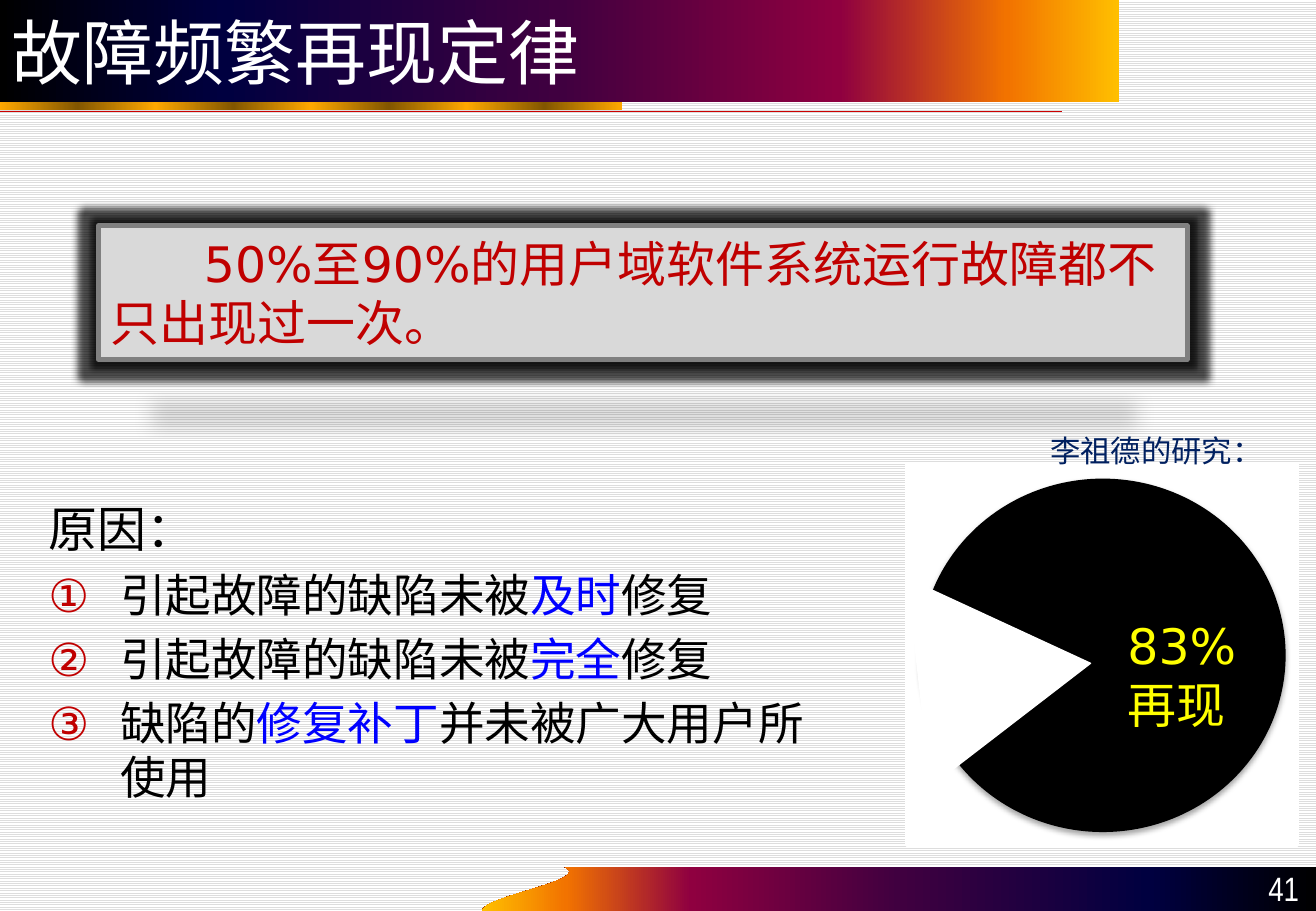
from dataclasses import dataclass

from lxml import etree
from pptx import Presentation
from pptx.dml.color import RGBColor
from pptx.enum.dml import MSO_PATTERN
from pptx.enum.shapes import MSO_CONNECTOR, MSO_SHAPE
from pptx.enum.text import MSO_ANCHOR, PP_ALIGN
from pptx.oxml.ns import qn
from pptx.util import Inches, Pt

RECTANGLE, OVAL, TRIANGLE = MSO_SHAPE.RECTANGLE, MSO_SHAPE.OVAL, MSO_SHAPE.ISOSCELES_TRIANGLE
TOP, MIDDLE, BOTTOM = MSO_ANCHOR.TOP, MSO_ANCHOR.MIDDLE, MSO_ANCHOR.BOTTOM
LEFT, RIGHT = PP_ALIGN.LEFT, PP_ALIGN.RIGHT

CELL = Inches(0.1)  # one column or row of the grid
COLUMNS, ROWS = 108.3, 75
SANS, CJK, NARROW = "DejaVu Sans", "Noto Sans CJK SC", "Arial Narrow"
COLORS = {
    "black": "000000", "white": "FFFFFF", "stripe": "DDDDDD", "panel": "D9D9D9",
    "frame": "808080", "rule": "CC0000", "red": "C00000", "blue": "0000FF",
    "yellow": "FFFF00", "navy": "002060",
}
SUNSET = [(0, "000000"), (20, "000040"), (50, "400040"),
          (75, "8F0040"), (90, "F27300"), (100, "FFBF00")]
GOLD = [(12.5 * step, "825600" if step % 2 else "FFA800") for step in range(9)]


@dataclass
class Run:
    text: str
    color: str
    size: float
    font: str = SANS


@dataclass
class Line:
    runs: list[Run]
    margin: float = 0
    indent: float = 0
    numbered: bool = False
    space_before: float = 0


@dataclass
class Block:
    """A shape, or a text box when kind is None, placed in grid columns and rows."""
    left: float
    top: float
    width: float
    height: float
    kind: int | None = None
    fill: str = ""
    outline: str = ""
    outline_width: float = 0
    rotation: float = 0
    effects: str = ""
    gradient: list | None = None
    lines: tuple[Line, ...] = ()
    align: int = LEFT
    anchor: int = TOP
    wrap: bool = True


def grid(value: float) -> int:
    return round(value * CELL)


def rgb(name: str) -> RGBColor:
    return RGBColor.from_string(COLORS[name])


def add_child(parent, tag: str, **attributes):
    return etree.SubElement(parent, qn(tag), attributes)


def paint_gradient(shape, stops: list, angle: float = 0) -> None:
    shape.fill.gradient()
    shape.fill.gradient_angle = angle
    stop_list = shape._element.spPr.find(".//" + qn("a:gsLst"))
    for old_stop in list(stop_list):
        stop_list.remove(old_stop)
    for position, color in stops:
        stop = add_child(stop_list, "a:gs", pos=str(round(position * 1000)))
        add_child(stop, "a:srgbClr", val=color)


def add_effects(shape, kind: str) -> None:
    def black(parent, alpha: int) -> None:
        color = add_child(parent, "a:srgbClr", val=COLORS["black"])
        add_child(color, "a:alpha", val=str(alpha * 1000))

    effects = shape._element.spPr.find(qn("a:effectLst"))
    if kind == "floating":
        black(add_child(effects, "a:glow", rad=str(Pt(8))), 70)
        blur, distance, alpha = 12, 25, 15
        scale = {"sx": "90000", "sy": "-19000"}
    else:
        blur, distance, alpha, scale = 3.1, 1.8, 35, {}
    shadow = add_child(effects, "a:outerShdw", blurRad=str(Pt(blur)), dist=str(Pt(distance)),
                       dir="5400000", **scale, rotWithShape="0")
    black(shadow, alpha)


def write_line(paragraph, line: Line, align: int) -> None:
    properties = paragraph._p.get_or_add_pPr()
    properties.set("marL", str(grid(line.margin)))
    properties.set("indent", str(grid(line.indent)))
    paragraph.alignment = align
    paragraph.space_before = Pt(line.space_before)
    if line.numbered:
        color = add_child(properties, "a:buClr")
        add_child(color, "a:srgbClr", val=COLORS["red"])
        add_child(properties, "a:buFont", typeface=SANS)
        add_child(properties, "a:buAutoNum", type="circleNumDbPlain")
    for item in line.runs:
        run = paragraph.add_run()
        run.text = item.text
        run.font.size = Pt(item.size)
        run.font.name = item.font
        run.font.color.rgb = rgb(item.color)
        add_child(run._r.get_or_add_rPr(), "a:ea", typeface=SANS)


def draw_block(slide, block: Block) -> None:
    place = [grid(value) for value in (block.left, block.top, block.width, block.height)]
    if block.kind is None:
        shape = slide.shapes.add_textbox(*place)
    else:
        shape = slide.shapes.add_shape(block.kind, *place)
        shape.shadow.inherit = False
        shape.rotation = block.rotation
        if block.gradient:
            paint_gradient(shape, block.gradient)
        else:
            shape.fill.solid()
            shape.fill.fore_color.rgb = rgb(block.fill)
        if block.outline:
            shape.line.color.rgb = rgb(block.outline)
            shape.line.width = Pt(block.outline_width)
        else:
            shape.line.fill.background()
        if block.effects:
            add_effects(shape, block.effects)
    frame = shape.text_frame
    frame.word_wrap = block.wrap
    frame.vertical_anchor = block.anchor
    for index, line in enumerate(block.lines):
        paragraph = frame.add_paragraph() if index else frame.paragraphs[0]
        write_line(paragraph, line, block.align)


def draw_footer(slide) -> None:
    """Draw the bottom band, whose left end is a Bezier curve."""
    controls = [(39.7, 75), (39.7, 73.8), (48.7, 72.5), (46.5, 71.4)]
    steps = 24
    curve = []
    for step in range(steps + 1):
        t = step / steps
        weights = ((1 - t) ** 3, 3 * t * (1 - t) ** 2, 3 * t * t * (1 - t), t ** 3)
        curve.append(tuple(grid(sum(w * point[axis] for w, point in zip(weights, controls)))
                           for axis in (0, 1)))
    builder = slide.shapes.build_freeform(*curve[0])
    corners = [(grid(COLUMNS), grid(71.4)), (grid(COLUMNS), grid(ROWS))]
    builder.add_line_segments(curve[1:] + corners, close=True)
    band = builder.convert_to_shape()
    band.shadow.inherit = False
    band.line.fill.background()
    paint_gradient(band, SUNSET, 180)


def draw_rule(slide) -> None:
    rule = slide.shapes.add_connector(MSO_CONNECTOR.STRAIGHT, 0, grid(9.15), grid(87.4), grid(9.15))
    rule.line.color.rgb = rgb("rule")
    rule.line.width = Pt(0.75)
    add_child(rule._element.spPr, "a:effectLst")


def reason(before: str, stressed: str, after: str) -> Line:
    runs = [Run(before, "black", 27, CJK), Run(stressed, "blue", 27, CJK), Run(after, "black", 27, CJK)]
    return Line(runs, 5.9, -5.9, True, 5.4)


BLOCKS = [
    Block(0, 8.3, 51.2, 0.75, RECTANGLE, gradient=GOLD),
    Block(0, 0, 92.1, 8.4, RECTANGLE, gradient=SUNSET, anchor=MIDDLE,
          lines=(Line([Run("故障频繁再现定律", "white", 42)]),)),
    Block(3, 40.6, 66.5, 27.6, lines=(
        Line([Run("原因：", "black", 29, CJK)], 5.4, -5.4),
        reason("引起故障的缺陷未被", "及时", "修复"),
        reason("引起故障的缺陷未被", "完全", "修复"),
        reason("缺陷的", "修复补丁", "并未被广大用户所使用"))),
    Block(98.3, 71.3, 9.6, 4, align=RIGHT, anchor=BOTTOM,
          lines=(Line([Run("41", "white", 20, NARROW)]),)),
    Block(8.1, 18.6, 89.6, 11, RECTANGLE, "panel", "frame", 3, effects="floating", anchor=MIDDLE,
          lines=(Line([Run("50%至90%的用户域软件系统运行故障都不只出现过一次。", "red", 29)],
                      indent=7.7),)),
    Block(74.6, 38.3, 32.2, 31.3, RECTANGLE, "white", "white", 2),
    Block(75.7, 39.4, 30.1, 29.1, OVAL, "black", effects="soft"),
    Block(74.1, 48.3, 17.2, 14.2, TRIANGLE, "white", "white", 0.75, rotation=83.6),
    Block(91.8, 50.2, 11.6, 10.8, wrap=False, lines=(
        Line([Run("83%", "yellow", 29)]), Line([Run("再现", "yellow", 29, CJK)]))),
    Block(85.1, 35.1, 19.8, 4.1, align=RIGHT, wrap=False,
          lines=(Line([Run("李祖德的研究：", "navy", 18)]),)),
]


def main() -> None:
    presentation = Presentation()
    presentation.slide_width, presentation.slide_height = grid(COLUMNS), grid(ROWS)
    slide = presentation.slides.add_slide(presentation.slide_layouts[6])
    background = slide.background.fill
    background.patterned()
    background.pattern = MSO_PATTERN.LIGHT_HORIZONTAL
    background.fore_color.rgb = rgb("stripe")
    background.back_color.rgb = rgb("white")
    draw_footer(slide)
    draw_rule(slide)
    for block in BLOCKS:
        draw_block(slide, block)
    presentation.save("out.pptx")


if __name__ == "__main__":
    main()
